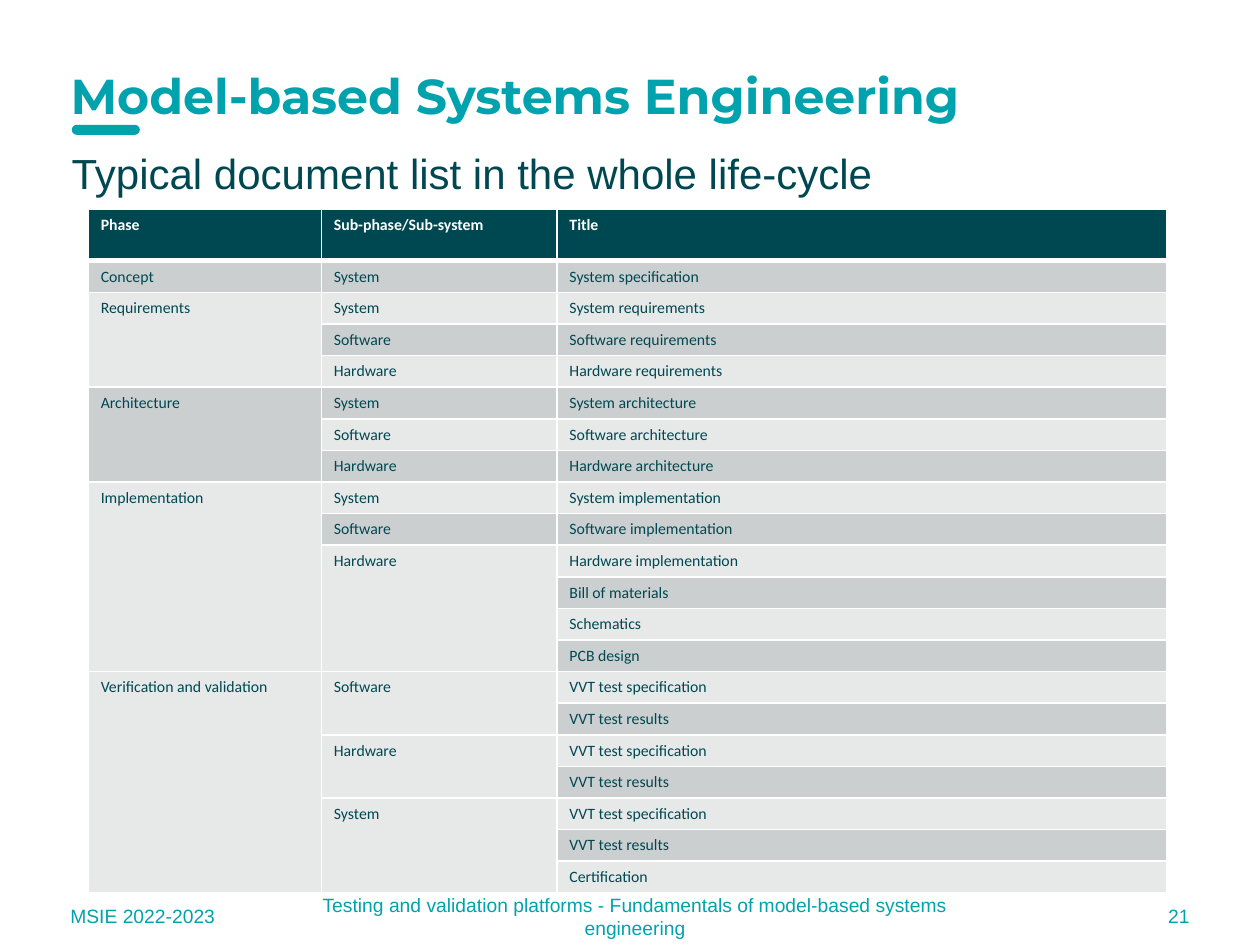
from lxml import etree
from pptx import Presentation
from pptx import util as u
from pptx.dml import color
from pptx.enum import shapes, text
from pptx.oxml import ns

Inches, Pt = u.Inches, u.Pt
HUES = {"teal": "00A3AD", "dark": "004851", "white": "FFFFFF",
        "odd": "CCCFD0", "even": "E7E9E9"}

HEAD = ["Phase", "Sub-phase/Sub-system", "Title"]
TESTS = ["VVT test specification", "VVT test results"]
PARTS = ["System", "Software", "Hardware"]


def trio(word):
    return [(part, [f"{part} {word}"]) for part in PARTS]


# Phase -> sub-phases -> document titles
PHASES = [
    ("Concept", [("System", ["System specification"])]),
    ("Requirements", trio("requirements")),
    ("Architecture", trio("architecture")),
    ("Implementation", trio("implementation")[:2] + [
        ("Hardware", ["Hardware implementation", "Bill of materials",
                      "Schematics", "PCB design"])]),
    ("Verification and validation", [
        ("Software", TESTS), ("Hardware", TESTS),
        ("System", TESTS + ["Certification"])]),
]


def rgb(name):
    return color.RGBColor.from_string(HUES[name])


def write(frame, words, size, font, hue, bold=False, align=text.PP_ALIGN.LEFT):
    para = frame.paragraphs[0]
    para.alignment = align
    run = para.add_run()
    run.text = words
    run.font.size, run.font.name, run.font.bold = Pt(size), font, bold
    run.font.color.rgb = rgb(hue)


def place(shape, box):
    shape.left, shape.top, shape.width, shape.height = map(Inches, box)


def add_text(slide, box, words, size, hue, anchor, align=text.PP_ALIGN.LEFT):
    frame = slide.shapes.add_textbox(*map(Inches, box)).text_frame
    frame.word_wrap = True
    frame.vertical_anchor = anchor
    write(frame, words, size, "Arial", hue, align=align)


def add_title(slide, box):
    title = slide.shapes.title
    place(title, box)
    frame = title.text_frame
    frame.auto_size = text.MSO_AUTO_SIZE.NONE
    frame.vertical_anchor = text.MSO_ANCHOR.MIDDLE
    write(frame, "Model-based Systems Engineering", 28, "Montserrat", "teal", True)
    # Short bar under the title
    left, top, _, high = box
    bar = slide.shapes.add_shape(
        shapes.MSO_SHAPE.ROUNDED_RECTANGLE,
        *map(Inches, (left + 0.11, top + high, 0.54, 0.08)))
    bar.adjustments[0] = 0.5
    bar.shadow.inherit = False
    bar.fill.solid()
    bar.fill.fore_color.rgb = rgb("teal")
    bar.line.fill.background()


def add_edges(cell, **wide):
    """White borders, 1 pt unless given by side (L, R, T, B)."""
    props = cell._tc.get_or_add_tcPr()
    for spot, side in enumerate("LRTB"):
        line = etree.Element(ns.qn(f"a:ln{side}"), w=str(Pt(wide.get(side, 1))))
        fill = etree.SubElement(line, ns.qn("a:solidFill"))
        etree.SubElement(fill, ns.qn("a:srgbClr"), val=HUES["white"])
        props.insert(spot, line)


def add_table(slide, box):
    count = sum(len(docs) for _, subs in PHASES for _, docs in subs)
    table = slide.shapes.add_table(count + 1, 3, *map(Inches, box)).table
    for col, wide in zip(table.columns, (1.85, 1.87, 4.84)):
        col.width = Inches(wide)
    for row in table.rows:
        row.height = Inches(0.25)
    table.rows[0].height = Inches(0.41)

    # Fills and borders
    for r in range(count + 1):
        hue = "dark" if r == 0 else "odd" if r % 2 else "even"
        wide = {0: {"B": 3}, 1: {"T": 3}}.get(r, {})
        for c in range(3):
            cell = table.cell(r, c)
            cell.fill.solid()
            cell.fill.fore_color.rgb = rgb(hue)
            add_edges(cell, **wide)

    def put(r, c, words, span=1):
        cell = table.cell(r, c)
        if span > 1:
            cell.merge(table.cell(r + span - 1, c))
        hue = "dark" if r else "white"
        write(cell.text_frame, words, 9, "Calibri", hue, bold=r == 0)

    # Header, then each phase with its merged cells
    for c, words in enumerate(HEAD):
        put(0, c, words)
    r = 1
    for phase, subs in PHASES:
        put(r, 0, phase, sum(len(docs) for _, docs in subs))
        for sub, docs in subs:
            put(r, 1, sub, len(docs))
            for doc in docs:
                put(r, 2, doc)
                r += 1


def add_footer(slide, box):
    left, top, wide, high = box
    align = text.PP_ALIGN
    notes = [
        (0, 1.4, "MSIE 2022-2023", align.LEFT),
        (1.64, 5.88, "Testing and validation platforms - Fundamentals of "
                     "model-based systems engineering", align.CENTER),
        (wide - 1.22, 1.22, "21", align.RIGHT),
    ]
    for shift, span, words, side in notes:
        add_text(slide, (left + shift, top, span, high), words, 11, "teal",
                 text.MSO_ANCHOR.MIDDLE, side)


def main():
    deck = Presentation()
    deck.slide_width, deck.slide_height = Inches(10), Inches(7.5)
    slide = deck.slides.add_slide(deck.slide_layouts[5])
    add_footer(slide, (0.46, 7.07, 9.08, 0.4))
    add_title(slide, (0.46, 0.52, 8.38, 0.47))
    add_text(slide, (0.47, 1.12, 9.08, 0.5),
             "Typical document list in the whole life-cycle", 24, "dark",
             text.MSO_ANCHOR.TOP)
    add_table(slide, (0.7, 1.66, 8.56, 5.41))
    deck.save("out.pptx")


if __name__ == "__main__":
    main()
